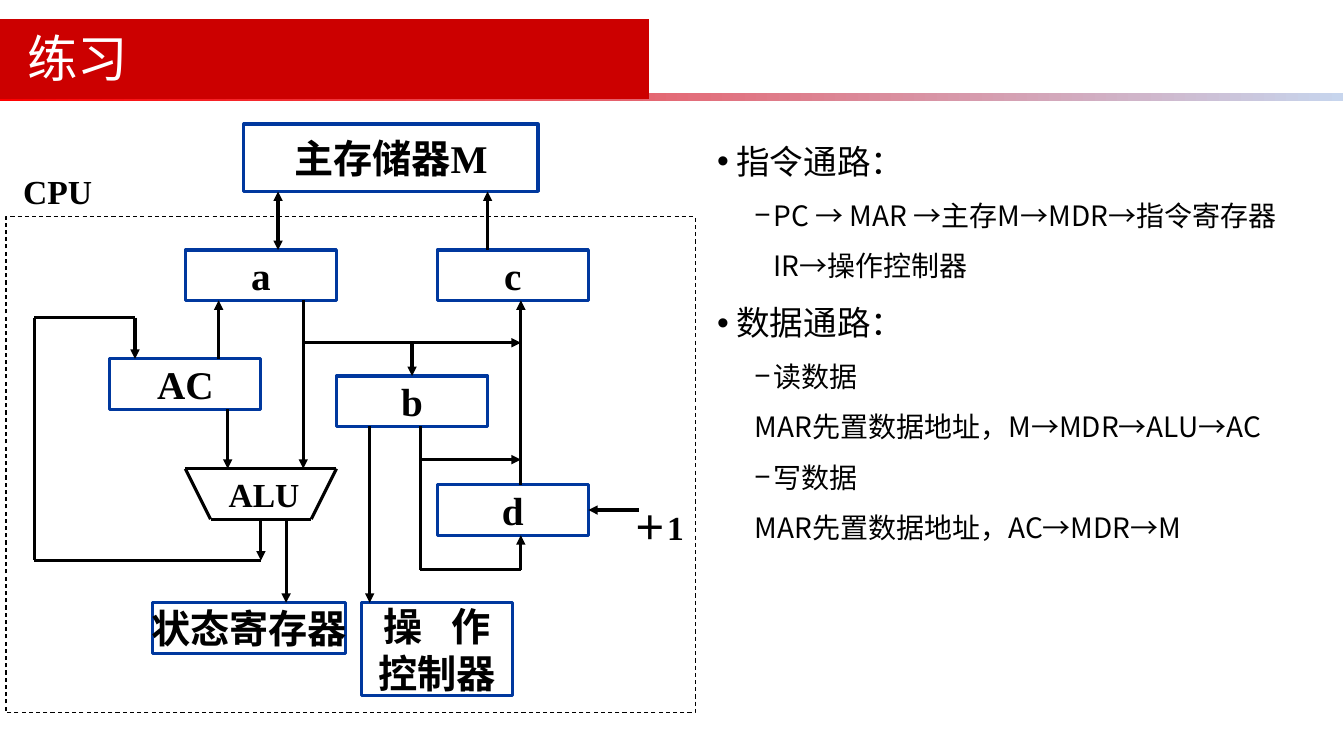
import pptx
import pptx.util
import pptx.dml.color
import pptx.enum.dml
import pptx.enum.shapes
import pptx.enum.text
import pptx.oxml.ns
from lxml import etree
from pptx.util import Inches

COLORS = {"black": "000000", "white": "FFFFFF", "red": "CC0000",
          "box": "00389E", "grad_start": "FF0000", "grad_end": "C7D5ED"}
SERIF = "Times New Roman"
SANS = "Noto Sans CJK SC"
ANCHOR = pptx.enum.text.MSO_ANCHOR
ALIGN = pptx.enum.text.PP_ALIGN
RECT = pptx.enum.shapes.MSO_SHAPE.RECTANGLE

BOXES = {
    "memory": (2.42, 1.23, 2.92, 0.67, "主存储器M"),
    "a": (1.84, 2.48, 1.5, 0.5, "a"),
    "c": (4.34, 2.48, 1.5, 0.5, "c"),
    "AC": (1.09, 3.56, 1.5, 0.5, "AC"),
    "b": (3.34, 3.73, 1.5, 0.5, "b"),
    "d": (4.34, 4.81, 1.5, 0.5, "d"),
    "status": (1.51, 5.98, 1.92, 0.5, "状态寄存器"),
}
ALU_LINES = [
    (1.84, 4.65, 3.34, 4.65), (1.84, 4.65, 2.09, 5.15),
    (3.34, 4.65, 3.09, 5.15), (2.09, 5.15, 3.09, 5.15),
]
PLAIN_LINES = [
    (0.34, 3.15, 1.34, 3.15), (0.34, 3.15, 0.34, 5.56), (0.34, 5.56, 2.59, 5.56),
    (4.17, 4.23, 4.17, 5.65), (4.17, 5.65, 5.17, 5.65),
]
ARROWS = [
    (4.84, 2.48, 4.84, 1.9), (2.17, 3.56, 2.17, 2.98), (2.26, 4.06, 2.26, 4.65),
    (1.34, 3.15, 1.34, 3.56), (2.59, 5.15, 2.59, 5.56), (2.84, 5.15, 2.84, 5.98),
    (3.01, 2.98, 3.01, 4.65), (3.01, 3.4, 5.17, 3.4), (5.17, 4.81, 5.17, 2.98),
    (3.67, 4.23, 3.67, 5.98), (5.17, 5.65, 5.17, 5.31), (4.17, 4.56, 5.17, 4.56),
]
LABELS = [(2.17, 4.65, 1.08, "ALU"), (6.19, 4.98, 0.92, "＋1"), (0.13, 1.65, 1.25, "CPU")]
NOTES = [
    (0, "•", "指令通路："),
    (1, "−", "PC → MAR →主存M→MDR→指令寄存器IR→操作控制器"),
    (0, "•", "数据通路："),
    (1, "−", "读数据"),
    (1, None, "MAR先置数据地址，M→MDR→ALU→AC"),
    (1, "−", "写数据"),
    (1, None, "MAR先置数据地址，AC→MDR→M"),
]


def rgb(name):
    return pptx.dml.color.RGBColor.from_string(COLORS[name])


def sub(parent, tag, **attrs):
    return etree.SubElement(parent, pptx.oxml.ns.qn(tag), **attrs)


def add_run(p, text, size, font=SERIF, color="black", bold=True, spacing=None):
    r = p.add_run()
    r.text = text
    r.font.size = pptx.util.Pt(size)
    r.font.bold = bold
    r.font.name = font
    r.font.color.rgb = rgb(color)
    rPr = r._r.get_or_add_rPr()
    sub(rPr, "a:ea", typeface=SANS)
    if spacing:
        rPr.set("spc", str(spacing))


def add_outline(s, x, y, w, h, color, width):
    sp = s.shapes.add_shape(RECT, Inches(x), Inches(y), Inches(w), Inches(h))
    sp.shadow.inherit = False
    sp.fill.background()
    sp.line.color.rgb = rgb(color)
    sp.line.width = pptx.util.Pt(width)
    return sp


def add_box(s, x, y, w, h, text=None):
    sp = add_outline(s, x, y, w, h, "box", 2.25)
    tf = sp.text_frame
    tf.word_wrap = False
    tf.vertical_anchor = ANCHOR.MIDDLE
    p = tf.paragraphs[0]
    p.alignment = ALIGN.CENTER
    if text:
        add_run(p, text, 28)
    return sp


def add_controller(s):
    tf = add_box(s, 3.59, 5.98, 1.5, 0.92).text_frame
    p = tf.paragraphs[0]
    add_run(p, "操 ", 28, spacing=700)
    add_run(p, "作", 28)
    p = tf.add_paragraph()
    p.alignment = ALIGN.CENTER
    add_run(p, "控制器", 28)


def add_line(s, x1, y1, x2, y2, head=False, tail=False):
    c = s.shapes.add_connector(pptx.enum.shapes.MSO_CONNECTOR.STRAIGHT,
                               Inches(x1), Inches(y1), Inches(x2), Inches(y2))
    c.line.color.rgb = rgb("black")
    c.line.width = pptx.util.Pt(2.25)
    ln = c.line._get_or_add_ln()
    if head:
        sub(ln, "a:headEnd", type="triangle")
    if tail:
        sub(ln, "a:tailEnd", type="triangle")
    sub(c._element.spPr, "a:effectLst")
    return c


def add_text_box(s, x, y, w, h):
    tf = s.shapes.add_textbox(Inches(x), Inches(y), Inches(w), Inches(h)).text_frame
    tf.word_wrap = True
    return tf


def add_label(s, x, y, w, text):
    add_run(add_text_box(s, x, y, w, 0.5).paragraphs[0], text, 24)


def add_header(s):
    band = s.shapes.add_shape(RECT, 0, Inches(0.92), Inches(13.33), Inches(0.08))
    band.fill.gradient()
    band.fill.gradient_angle = 0
    for stop, position, color in zip(band.fill.gradient_stops, (0, 1),
                                     ("grad_start", "grad_end")):
        stop.position = position
        stop.color.rgb = rgb(color)
    block = s.shapes.add_shape(RECT, 0, Inches(0.19), Inches(6.44), Inches(0.79))
    block.fill.solid()
    block.fill.fore_color.rgb = rgb("red")
    for sp in (band, block):
        sp.shadow.inherit = False
        sp.line.fill.background()
    tf = add_text_box(s, 0.17, 0.2, 7.62, 0.82)
    tf.vertical_anchor = ANCHOR.MIDDLE
    p = tf.paragraphs[0]
    p.line_spacing = 0.9
    add_run(p, "练习", 36, SANS, "white", False)


def add_diagram(s):
    cpu = add_outline(s, 0.06, 2.15, 6.84, 4.92, "black", 0.75)
    cpu.line.dash_style = pptx.enum.dml.MSO_LINE.DASH
    boxes = {name: add_box(s, *args) for name, args in BOXES.items()}
    add_controller(s)
    for line in ALU_LINES + PLAIN_LINES:
        add_line(s, *line)
    for arrow in ARROWS:
        add_line(s, *arrow, tail=True)
    add_line(s, 2.76, 1.9, 2.76, 2.48, head=True, tail=True)
    add_line(s, 4.09, 3.4, 4.09, 3.73, tail=True).end_connect(boxes["b"], 0)
    add_line(s, 6.34, 5.06, 5.84, 5.06, tail=True).end_connect(boxes["d"], 3)
    for label in LABELS:
        add_label(s, *label)


def add_notes(s):
    tf = add_text_box(s, 7.02, 1.15, 6.16, 5.44)
    for i, (level, bullet, text) in enumerate(NOTES):
        p = tf.paragraphs[0] if i == 0 else tf.add_paragraph()
        p.level = level
        p.line_spacing = 1.5
        pPr = p._p.get_or_add_pPr()
        pPr.set("marL", str(Inches((0.19, 0.56)[level])))
        pPr.set("indent", str(Inches(-0.19)))
        if bullet:
            sub(sub(pPr, "a:buClr"), "a:srgbClr", val=COLORS["black"])
            sub(pPr, "a:buFont", typeface="Arial")
            sub(pPr, "a:buChar", char=bullet)
        else:
            sub(pPr, "a:buNone")
        add_run(p, text, (24, 20)[level], SANS, bold=False)


def main():
    prs = pptx.Presentation()
    prs.slide_width, prs.slide_height = Inches(13.34), Inches(7.5)
    s = prs.slides.add_slide(prs.slide_layouts[6])
    add_header(s)
    add_diagram(s)
    add_notes(s)
    prs.save("out.pptx")


if __name__ == "__main__":
    main()
